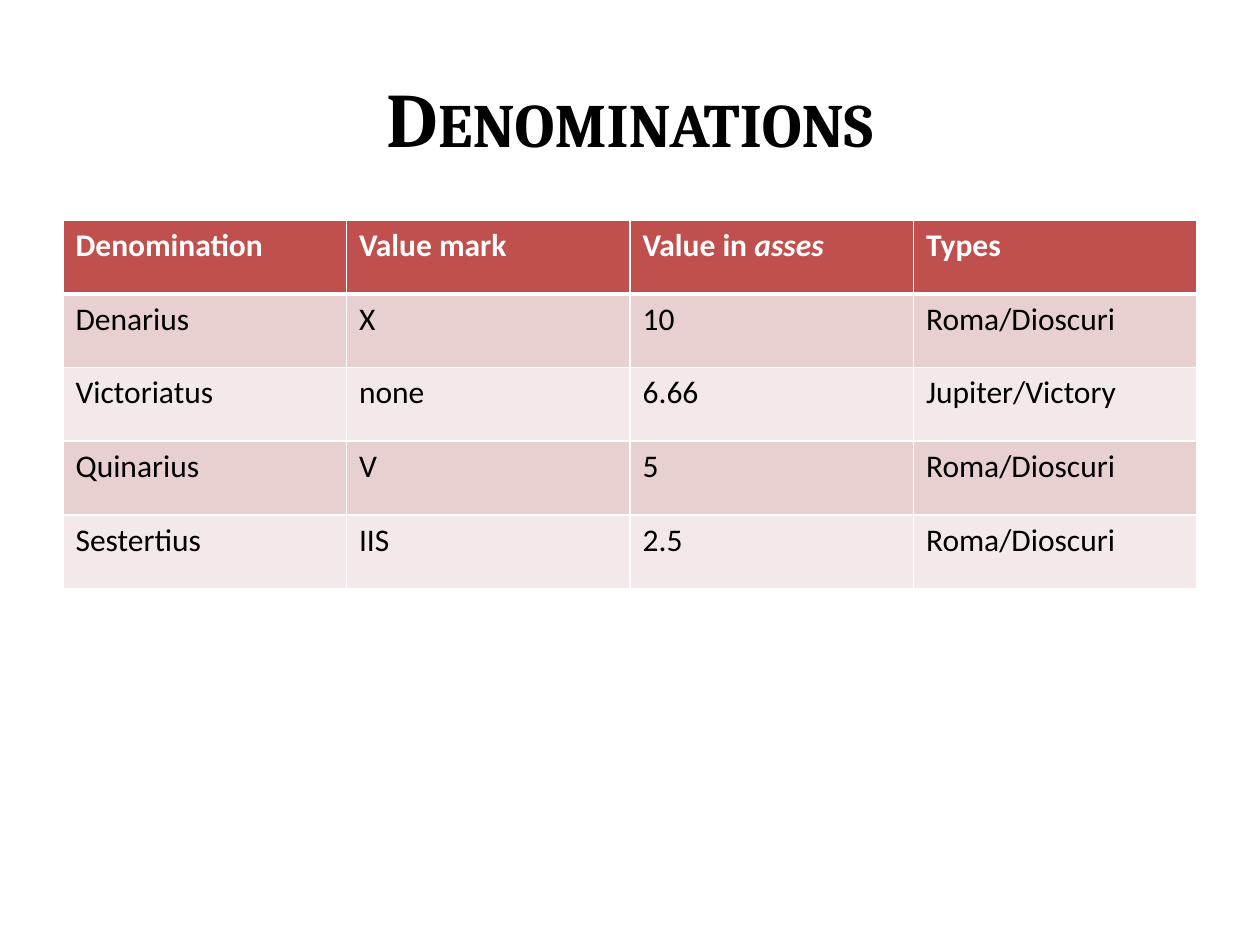
from dataclasses import dataclass

from lxml import etree
from pptx import Presentation
from pptx.dml.color import RGBColor
from pptx.enum.text import MSO_ANCHOR, PP_ALIGN
from pptx.oxml.ns import qn
from pptx.util import Inches, Pt

MIDDLE = MSO_ANCHOR.MIDDLE
CENTER = PP_ALIGN.CENTER

WHITE = RGBColor(0xFF, 0xFF, 0xFF)
BLACK = RGBColor(0x00, 0x00, 0x00)
RED = RGBColor(0xC0, 0x50, 0x4D)
PINK = RGBColor(0xE8, 0xD0, 0xD0)
PALE = RGBColor(0xF4, 0xE9, 0xE9)

HEADER = ("Denomination", "Value mark", "Value in ", "Types")
HEADER_ITALICS = {2: "asses"}


@dataclass
class Coin:
    name: str
    mark: str
    asses: str
    types: str


COINS = (
    Coin("Denarius", "X", "10", "Roma/Dioscuri"),
    Coin("Victoriatus", "none", "6.66", "Jupiter/Victory"),
    Coin("Quinarius", "V", "5", "Roma/Dioscuri"),
    Coin("Sestertius", "IIS", "2.5", "Roma/Dioscuri"),
)


def set_font(p, name: str, size: int, color: RGBColor, bold: bool) -> None:
    p.font.name = name
    p.font.size = Pt(size)
    p.font.bold = bold
    p.font.color.rgb = color


def add_title(s, text: str) -> None:
    tf = s.shapes.add_textbox(Inches(0.5), Inches(0.3), Inches(9), Inches(1.25)).text_frame
    tf.word_wrap = True
    tf.vertical_anchor = MIDDLE
    p = tf.paragraphs[0]
    p.alignment = CENTER
    r = p.add_run()
    r.text = text
    r._r.get_or_add_rPr().set("cap", "small")
    set_font(p, "Cambria", 44, BLACK, True)


def set_borders(cell, top: int, bottom: int) -> None:
    tcPr = cell._tc.get_or_add_tcPr()
    for side, width in (("L", 1), ("R", 1), ("T", top), ("B", bottom)):
        ln = etree.SubElement(tcPr, qn(f"a:ln{side}"), w=str(Pt(width)))
        fill = etree.SubElement(ln, qn("a:solidFill"))
        etree.SubElement(fill, qn("a:srgbClr"), val=str(WHITE))


def fill_cell(cell, text: str, row: int, italic: str = "") -> None:
    is_header = row == 0
    set_borders(cell, 3 if row == 1 else 1, 3 if is_header else 1)
    cell.fill.solid()
    cell.fill.fore_color.rgb = RED if is_header else (PALE, PINK)[row % 2]
    p = cell.text_frame.paragraphs[0]
    p.add_run().text = text
    if italic:
        r = p.add_run()
        r.text = italic
        r.font.italic = True
    set_font(p, "Calibri", 18, WHITE if is_header else BLACK, is_header)


def add_coin_table(s) -> None:
    table = s.shapes.add_table(
        len(COINS) + 1, len(HEADER), Inches(0.5), Inches(1.75), Inches(9), Inches(2.92)
    ).table
    table.horz_banding = False
    for col, text in enumerate(HEADER):
        fill_cell(table.cell(0, col), text, 0, HEADER_ITALICS.get(col, ""))
    for row, coin in enumerate(COINS, 1):
        for col, text in enumerate((coin.name, coin.mark, coin.asses, coin.types)):
            fill_cell(table.cell(row, col), text, row)


def main() -> None:
    prs = Presentation()
    prs.slide_width = Inches(10)
    prs.slide_height = Inches(7.5)
    s = prs.slides.add_slide(prs.slide_layouts[6])
    add_title(s, "Denominations")
    add_coin_table(s)
    prs.save("out.pptx")


if __name__ == "__main__":
    main()
